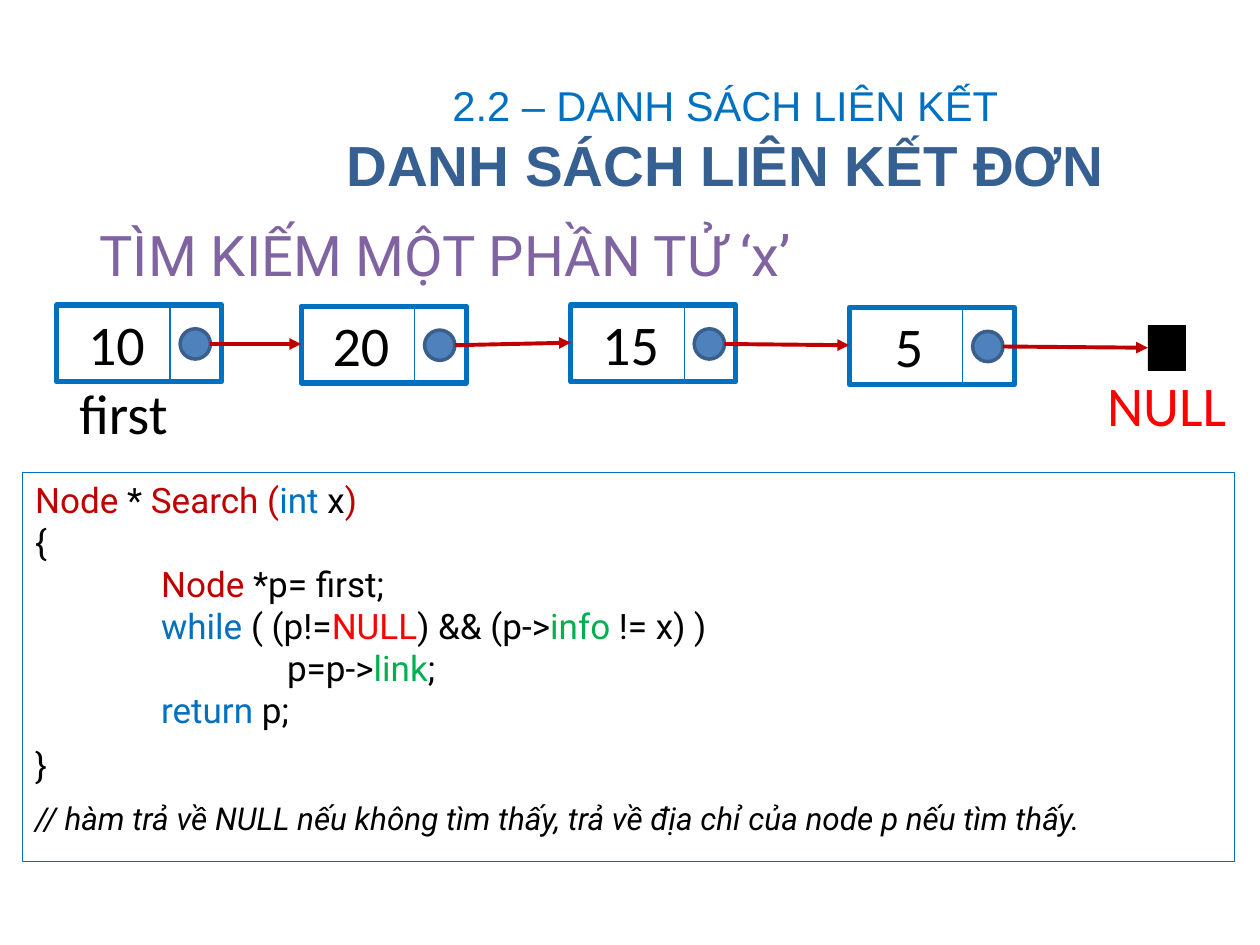
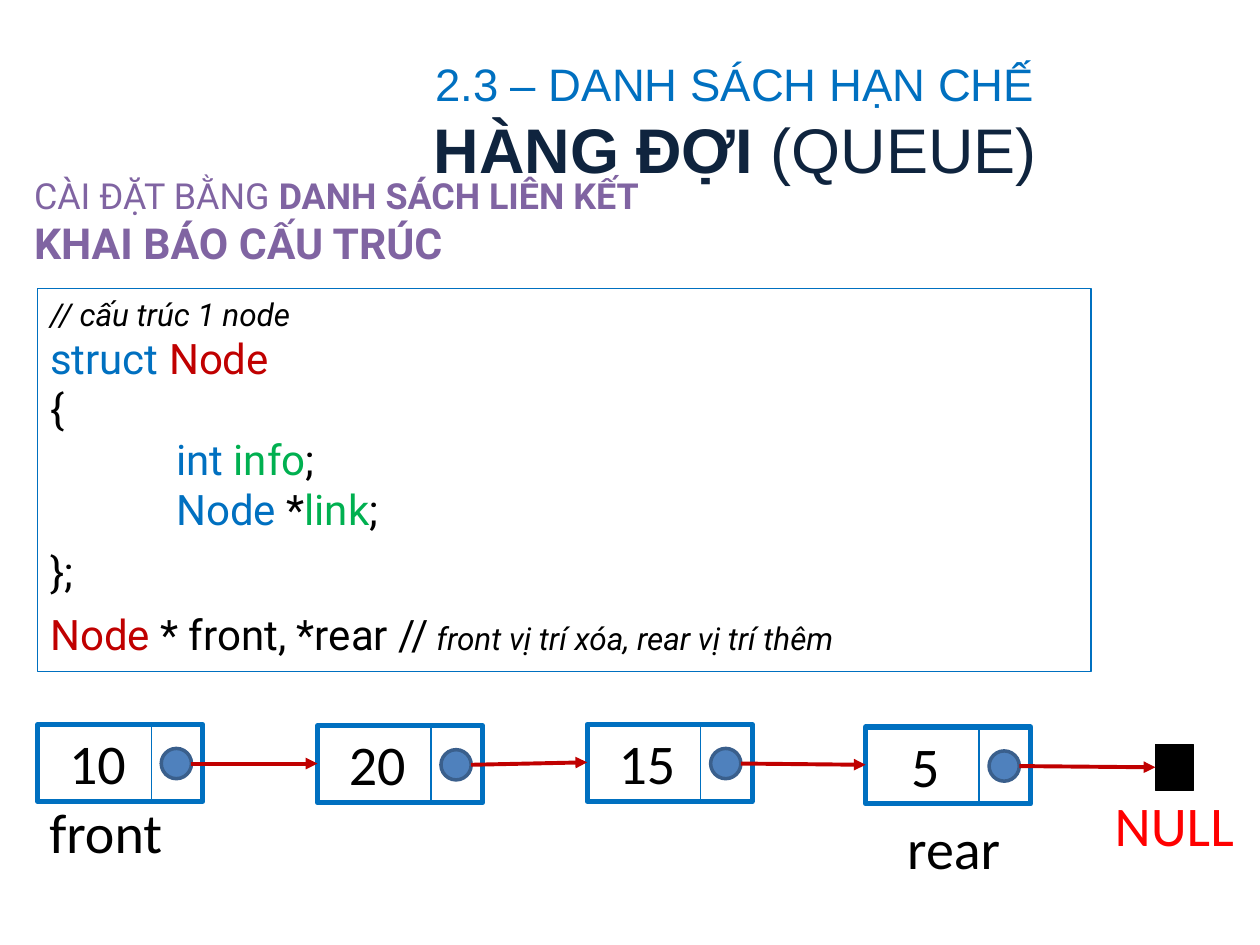
import dataclasses
import pptx
import pptx.dml.color
import pptx.enum.shapes
import pptx.enum.text
import pptx.oxml.ns
import pptx.oxml.xmlchemy
import pptx.util
import lxml.etree

RGB = pptx.dml.color.RGBColor.from_string
ALIGN = pptx.enum.text.PP_ALIGN
ANCHOR = pptx.enum.text.MSO_ANCHOR
SHAPE = pptx.enum.shapes.MSO_SHAPE
qn = pptx.oxml.ns.qn


class Theme:
    head, code, label = "Arial", "Roboto", "Calibri"
    blue, navy, ink = "0070C0", "376092", "0F243E"
    plum, black, dark = "8064A2", "000000", "C00000"
    red, green = "FF0000", "00B050"
    dot, rim = "4F81BD", "3A5F8C"
    big, note = 32, 18
    thin, thick, rule, arrow, edge = 0.75, 3, 2, 2.25, 0.25


@dataclasses.dataclass
class Para:
    runs: list          # (text, colour, style, size); the last two are optional
    size: float
    depth: int = 0      # indent in inches
    lead: float = 1     # line spacing
    gap: float = 0      # points above


def grid(*cells):
    """Turn columns and rows (100 by 75 on the slide) into lengths."""
    return [pptx.util.Emu(round(cell * wide / 100)) for cell in cells]


def write(frame, paras, face, align=ALIGN.LEFT, anchor=ANCHOR.TOP):
    """Fill a text frame with formatted paragraphs."""
    frame.word_wrap = True
    frame.auto_size = pptx.enum.text.MSO_AUTO_SIZE.NONE
    frame.vertical_anchor = anchor
    for num, para in enumerate(paras):
        line = frame.add_paragraph() if num else frame.paragraphs[0]
        line.alignment = align
        line.line_spacing = para.lead
        line.space_before = pptx.util.Pt(para.gap)
        props = line._p.get_or_add_pPr()
        props.set("marL", str(pptx.util.Inches(para.depth)))
        props.set("indent", "0")
        lxml.etree.SubElement(props, qn("a:buNone"))
        line.font.name = face
        line.font.size = pptx.util.Pt(para.size)
        for text, tint, *more in para.runs:
            run = line.add_run()
            run.text = text
            run.font.color.rgb = RGB(tint)
            if more and more[0] == "b":
                run.font.bold = True
            if more and more[0] == "i":
                run.font.italic = True
            if len(more) > 1:
                run.font.size = pptx.util.Pt(more[1])


T = Theme
deck = pptx.Presentation()
deck.slide_width = wide = pptx.util.Inches(10)
deck.slide_height = pptx.util.Inches(7.5)

# Content of the two slides
pages = [
    dict(
        title=[Para([("2.2 – DANH SÁCH LIÊN KẾT", T.blue)], 23.8, lead=1.5),
               Para([("DANH SÁCH LIÊN KẾT ĐƠN", T.navy, "b")], 32.3)],
        title_at=(21.7, 4.2, 71.7, 11.7),
        topic=[Para([("TÌM KIẾM MỘT PHẦN TỬ ‘x’", T.plum)], T.big)],
        topic_at=(6.9, 17, 89.6, 6.5),
        code=[
            Para([("Node ", T.dark), ("* ", T.black), ("Search (", T.dark),
                  ("int ", T.blue), ("x", T.black), (")", T.dark)], 20),
            Para([("{", T.black)], 20),
            Para([("Node", T.dark), (" *p= first;", T.black)], 20, 1),
            Para([("while", T.blue), (" ( (p!=", T.black), ("NULL", T.red),
                  (") && (p->", T.black), ("info", T.green),
                  (" != x) )", T.black)], 20, 1),
            Para([("p=p->", T.black), ("link", T.green), (";", T.black)], 20, 2),
            Para([("return ", T.blue), ("p;", T.black)], 20, 1),
            Para([("}", T.black)], 20, lead=0.9, gap=10),
            Para([("// hàm trả về NULL nếu không tìm thấy, trả về địa chỉ "
                   "của node p nếu tìm thấy.", T.black, "i")],
                 T.note, lead=0.9, gap=10),
        ],
        code_at=(1.8, 37.5, 96.2, 30.9),
        top=24.2, cols=(4.5, 23.9, 45.3, 67.4), end=91.1,
        tags=[("first", 4, 30.7)],
    ),
    dict(
        title=[Para([("2.3 – DANH SÁCH HẠN CHẾ", T.blue)], 26),
               Para([("HÀNG ĐỢI", T.ink, "b"), (" (QUEUE)", T.ink)], 36)],
        title_at=(22.5, 4.2, 71.7, 10.8),
        topic=[Para([("CÀI ĐẶT BẰNG ", T.plum),
                     ("DANH SÁCH LIÊN KẾT", T.plum, "b")], 20.5),
               Para([("KHAI BÁO CẤU TRÚC", T.plum, "b")], 24.4)],
        topic_at=(1.7, 13.3, 92.5, 9.2),
        code=[
            Para([("// cấu trúc 1 node", T.black, "i")], T.note),
            Para([("struct ", T.blue), ("Node", T.dark)], 24),
            Para([("{", T.black)], 24),
            Para([("int ", T.blue), ("info", T.green), (";", T.black)], 24, 1),
            Para([("Node", T.blue), (" *", T.black), ("link", T.green),
                  (";", T.black)], 24, 1),
            Para([("};", T.black)], 24, lead=0.9, gap=10),
            Para([("Node ", T.dark), ("* front, *rear //", T.black),
                  (" front vị trí xóa, rear vị trí thêm", T.black, "i", T.note)],
                 24, lead=0.9, gap=10),
        ],
        code_at=(3, 22.9, 83.6, 30.4),
        top=57.5, cols=(3, 25.2, 46.6, 68.7), end=91.7,
        tags=[("front", 2.6, 64), ("rear", 69.9, 65.2)],
    ),
]
values = ("10", "20", "15", "5")
drops = (0, 0.1, 0, 0.2)

for page in pages:
    slide = deck.slides.add_slide(deck.slide_layouts[1])

    # Title and topic
    title, topic = slide.placeholders
    title.left, title.top, title.width, title.height = grid(*page["title_at"])
    write(title.text_frame, page["title"], T.head, ALIGN.CENTER, ANCHOR.MIDDLE)
    topic.left, topic.top, topic.width, topic.height = grid(*page["topic_at"])
    write(topic.text_frame, page["topic"], T.code)

    # Parts of the linked list
    top, cols, end = page["top"], page["cols"], page["end"]
    stops = list(zip(cols[1:] + (end,), (top + 3 + drop for drop in drops[1:] + (0.4,))))
    boxes = [(SHAPE.RECTANGLE, page["code_at"], None, T.blue, T.thin)]
    lines = []
    tags = [(text, T.black, x, y, 11.6) for text, x, y in page["tags"]]
    tags.append(("NULL", T.red, end - 4.3, top + 5.9, 11.6))
    for value, x, drop, stop in zip(values, cols, drops, stops):
        y = top + drop
        lines.append((x + 9, y, x + 9, y + 6.1, T.blue, T.thin, False))
        lines.append((x + 12.2, y + 3.1, *stop, T.dark, T.arrow, True))
        boxes.append((SHAPE.RECTANGLE, (x, y, 13.1, 6.1), None, T.blue, T.thick))
        boxes.append((SHAPE.OVAL, (x + 9.8, y + 1.9, 2.4, 2.4), T.dot, T.rim, T.rule))
        tags.append((value, T.black, x + 0.6, y + 1, 8.3))
    boxes.append((SHAPE.RECTANGLE, (end, top + 1.6, 3, 3.6), T.black, T.black, T.edge))

    # Boxes and dots, the code box first
    for num, (kind, place, fill, tint, width) in enumerate(boxes):
        box = slide.shapes.add_shape(kind, *grid(*place))
        box.shadow.inherit = False
        if fill:
            box.fill.solid()
            box.fill.fore_color.rgb = RGB(fill)
        else:
            box.fill.background()
        box.line.color.rgb = RGB(tint)
        box.line.width = pptx.util.Pt(width)
        if num == 0:
            write(box.text_frame, page["code"], T.code)

    # Dividers and arrows
    for *ends, tint, width, tip in lines:
        link = slide.shapes.add_connector(
            pptx.enum.shapes.MSO_CONNECTOR.STRAIGHT, *grid(*ends))
        link.line.color.rgb = RGB(tint)
        link.line.width = pptx.util.Pt(width)
        if tip:
            lxml.etree.SubElement(link.line._get_or_add_ln(), qn("a:tailEnd"),
                                  type="triangle")
        lxml.etree.SubElement(link._element.spPr, qn("a:effectLst"))

    # Values and labels
    for text, tint, x, y, width in tags:
        tag = slide.shapes.add_textbox(*grid(x, y, width, 4))
        write(tag.text_frame, [Para([(text, tint)], T.big)], T.label,
              ALIGN.CENTER, ANCHOR.MIDDLE)

deck.save("out.pptx")
